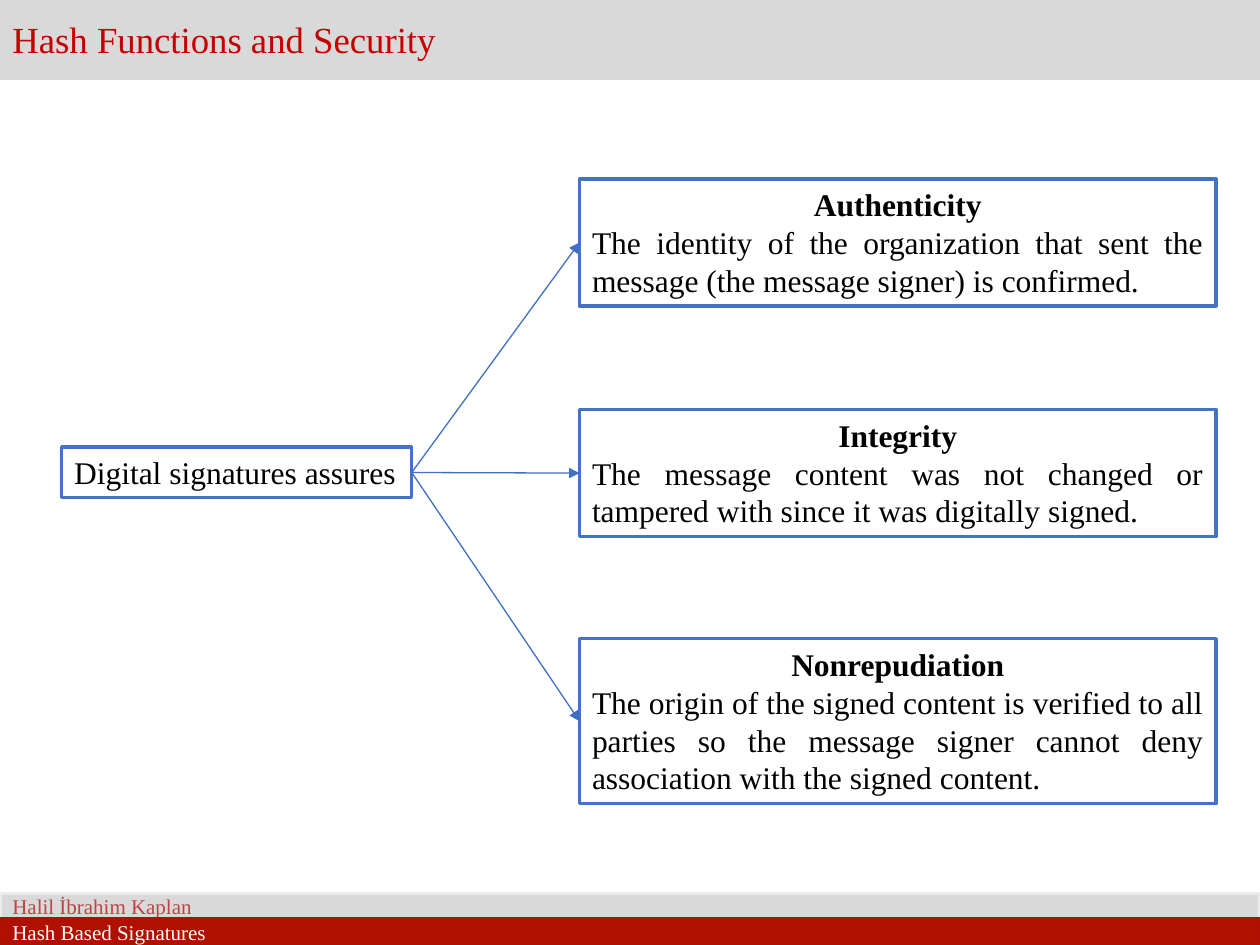
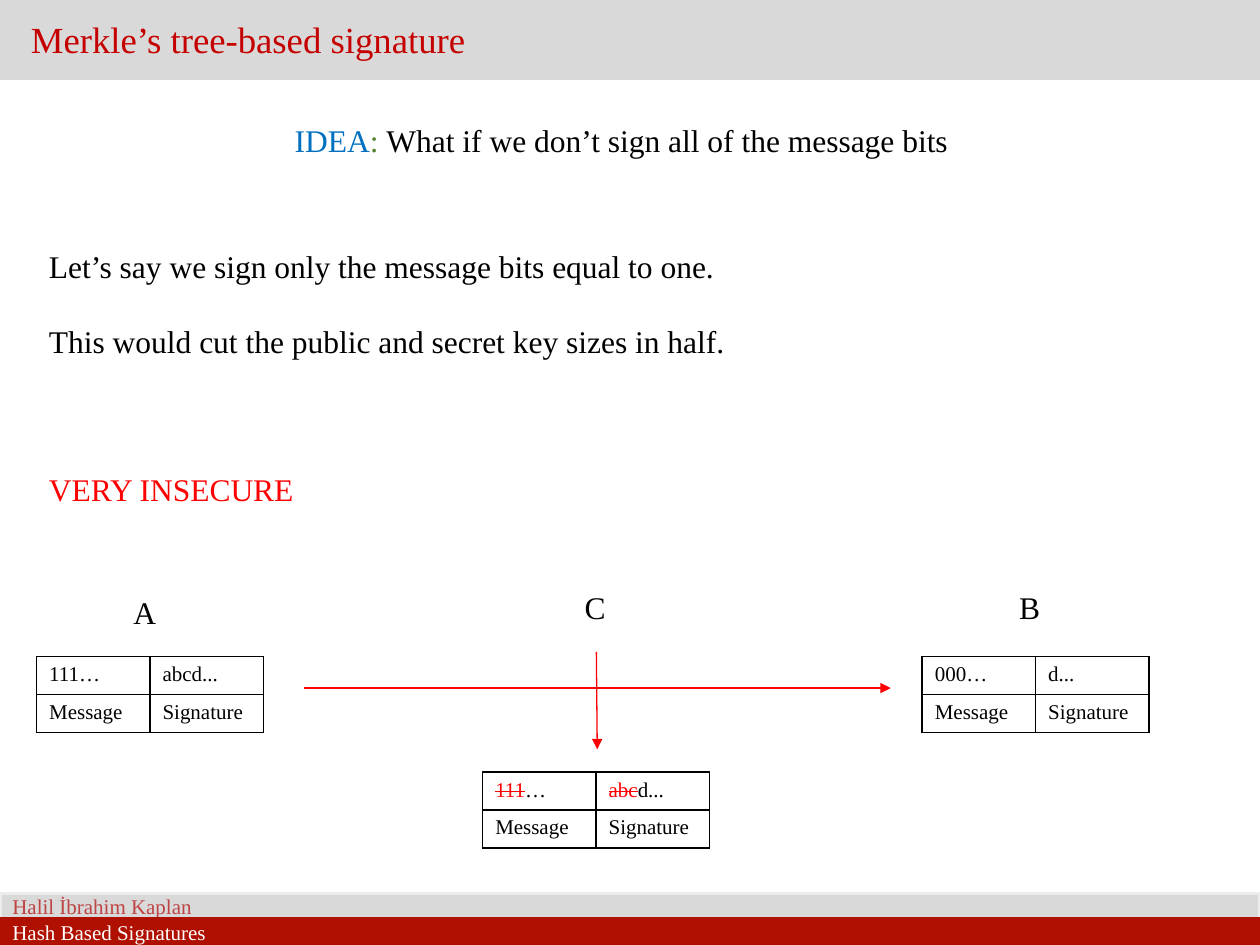
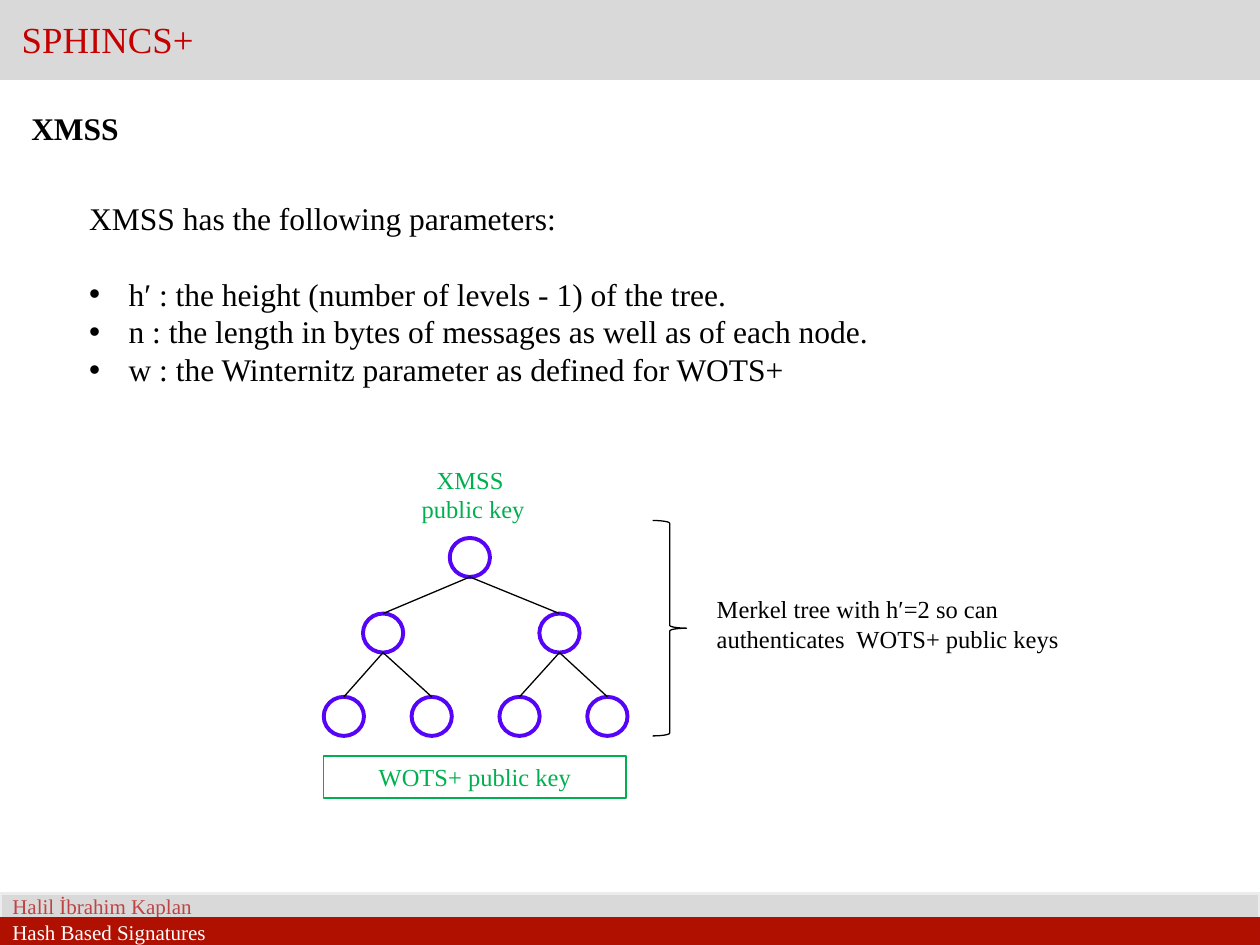
from pptx import Presentation, oxml, util as u
from pptx.dml import color
from pptx.enum import shapes, text
from pptx.oxml import ns

Pt = u.Pt
hex_colour = color.RGBColor.from_string
FONT = "Times New Roman"
BLACK, WHITE, GREY, RED = "000000", "FFFFFF", "D9D9D9", "FF0000"
BLUE, GREEN, PURPLE = "4472C4", "00B050", "5604F8"
CENTRE = {"alignment": text.PP_ALIGN.CENTER}
JUSTIFY = {"alignment": text.PP_ALIGN.JUSTIFY}
LINE_GAP = {"space_before": Pt(21.6)}
RECTANGLE = shapes.MSO_SHAPE.RECTANGLE


def write_text(frame, paragraphs, size, colour):
    """Write (spans, paragraph format) pairs; a span is (words, font format)."""
    for index, (spans, layout) in enumerate(paragraphs):
        para = frame.add_paragraph() if index else frame.paragraphs[0]
        for name, value in layout.items():
            setattr(para, name, value)
        for words, look in [(spans, {})] if isinstance(spans, str) else spans:
            span = para.add_run()
            span.text = words
            look = {"name": FONT, "size": Pt(size), "colour": colour, **look}
            span.font.color.rgb = hex_colour(look.pop("colour"))
            if look.pop("strike", False):
                span.font._element.set("strike", "sngStrike")
            for name, value in look.items():
                setattr(span.font, name, value)


def add_box(page, place, paragraphs=(), size=18, colour=BLACK, preset=None,
            fill=None, line=None, weight=2, middle=False, indent=0):
    """Add a preset shape, or a text box when no preset is given."""
    place = [Pt(length) for length in place]
    if preset is None:
        box = page.shapes.add_textbox(*place)
    else:
        box = page.shapes.add_shape(preset, *place)
        box.shadow.inherit = False
        box.line.color.rgb = hex_colour(line)
        box.line.width = Pt(weight)
        if fill:
            box.fill.solid()
            box.fill.fore_color.rgb = hex_colour(fill)
        else:
            box.fill.background()
    if paragraphs:
        frame = box.text_frame
        settings = {
            "word_wrap": True,
            "margin_left": Pt(7.2 + indent),
            "vertical_anchor": text.MSO_ANCHOR.MIDDLE if middle else text.MSO_ANCHOR.TOP,
            "auto_size": text.MSO_AUTO_SIZE.NONE if middle
            else text.MSO_AUTO_SIZE.SHAPE_TO_FIT_TEXT,
        }
        for name, value in settings.items():
            setattr(frame, name, value)
        left = {"alignment": text.PP_ALIGN.LEFT}
        write_text(frame, [(spans, {**left, **layout}) for spans, layout in paragraphs],
                   size, colour)
    return box


deck = Presentation()
deck.slide_width, deck.slide_height = Pt(720), Pt(540)

# Shared bands and titles
pages = []
for title, indent in [("Hash Functions and Security", 0),
                      ("Merkle’s tree-based signature", 10.5),
                      ("SPHINCS+", 5.25)]:
    page = deck.slides.add_slide(deck.slide_layouts[6])
    pages.append(page)
    for words, top, height, size, colour, fill, line, shift in [
        ("Halil İbrahim Kaplan", 510.5, 14.4, 12, "BE4343", GREY, "ECECEC", 0),
        ("Hash Based Signatures", 525, 15, 12, WHITE, "B01000", "B01001", 0),
        (title, 0, 44.6, 21, "C50000", GREY, GREY, indent),
    ]:
        add_box(page, (0, top, 720, height), [(words, {})], size, colour, RECTANGLE,
                fill, line, middle=True, indent=shift)
assurance_page, merkle_page, xmss_page = pages
lines = []  # page, start, end, colour, arrow

# What digital signatures assure
framed = {"preset": RECTANGLE, "fill": WHITE, "line": BLUE}
add_box(assurance_page, (35.3, 255.6, 200, 28.8),
        [("Digital signatures assures", {})], **framed)
for top, height, heading, body in [
    (102.2, 72.7, "Authenticity", "The identity of the organization that sent the message "
     "(the message signer) is confirmed."),
    (234, 72.7, "Integrity", "The message content was not changed or tampered with since "
     "it was digitally signed."),
    (365, 94.3, "Nonrepudiation", "The origin of the signed content is verified to all "
     "parties so the message signer cannot deny association with the signed content."),
]:
    add_box(assurance_page, (331.2, top, 363.6, height),
            [([(heading, {"bold": True})], CENTRE), (body, JUSTIFY)], **framed)
    lines.append((assurance_page, (235.3, 270), (331.2, top + height / 2), "3F6FC3", True))

# Signing only some of the message bits
add_box(merkle_page, (161.3, 65.5, 397.4, 28.8),
        [([("IDEA", {"colour": "0070C0"}), (": ", {"colour": "548235"}),
           ("What if we don’t sign all of the message bits", {})], {})])
add_box(merkle_page, (20.9, 137.5, 699, 94.3),
        [("Let’s say we sign only the message bits equal to one.", {}),
         ("This would cut the public and secret key sizes in half.", LINE_GAP)])
add_box(merkle_page, (20.9, 265, 180.7, 28.8), [("VERY INSECURE", {})], colour=RED)
for letter, left, top in [("A", 69.1, 335.5), ("C", 327, 332.6), ("B", 575.3, 332.6)]:
    add_box(merkle_page, (left, top, 32.4, 28.8), [(letter, {})])

struck = {"colour": RED, "strike": True}
for left, top, message, signature in [
    (20.9, 375.2, "111…", "abcd..."),
    (275.8, 441.2, [("111", struck), ("…", {})], [("abc", struck), ("d...", {})]),
    (527, 375.2, "000…", "d..."),
]:
    table = merkle_page.shapes.add_table(2, 2, Pt(left), Pt(top), Pt(129.6), Pt(43.2)).table
    table.first_row = table.horz_banding = False
    for cell, spans in zip(table.iter_cells(), [message, signature, "Message", "Signature"]):
        for side in "LRTB":
            cell._tc.get_or_add_tcPr().append(oxml.parse_xml(
                f'<a:ln{side} {ns.nsdecls("a")} w="{Pt(0.96)}"><a:solidFill>'
                f'<a:srgbClr val="{BLACK}"/></a:solidFill></a:ln{side}>'))
        cell.fill.background()
        write_text(cell.text_frame, [(spans, {})], 12, BLACK)
lines += [(merkle_page, (174, 393.2), (509, 393.2), RED, True),
          (merkle_page, (340.8, 372.5), (341.3, 428.2), RED, True)]

# XMSS parameters
add_box(xmss_page, (10.8, 59, 285.8, 28.8), [([("XMSS", {"bold": True})], {})])
parameters = add_box(xmss_page, (43.9, 110.2, 505.4, 115.2), [
    ("XMSS has the following parameters:", {}),
    ("h′ : the height (number of levels - 1) of the tree.", LINE_GAP),
    ("n : the length in bytes of messages as well as of each node.", {}),
    ("w : the Winternitz parameter as defined for WOTS+", {}),
])
for para in parameters.text_frame.paragraphs[1:]:
    properties = para._p.get_or_add_pPr()
    properties.set("marL", str(Pt(22.5)))
    properties.set("indent", str(-Pt(22.5)))
    for bullet in (f'<a:buClr {ns.nsdecls("a")}><a:srgbClr val="{BLACK}"/></a:buClr>',
                   f'<a:buFont {ns.nsdecls("a")} typeface="Arial"/>',
                   f'<a:buChar {ns.nsdecls("a")} char="•"/>'):
        properties.append(oxml.parse_xml(bullet))

# XMSS tree, level by level from the root
node_width, node_height = 23, 22.3
levels = [(307.4, [257]), (350.6, [207.4, 308.2]),
          (398.2, [185 + 50.2 * leaf for leaf in range(4)])]
for depth, (top, lefts) in enumerate(levels):
    for index, left in enumerate(lefts):
        add_box(xmss_page, (left, top, node_width, node_height),
                preset=shapes.MSO_SHAPE.OVAL, line=PURPLE, weight=2.25)
        if depth:
            parent_top, parent_lefts = levels[depth - 1]
            parent = (parent_lefts[index // 2] + node_width / 2, parent_top + node_height)
            lines.append((xmss_page, (left + node_width / 2, top), parent, BLACK, False))
add_box(xmss_page, (373, 297.4, 19.4, 123.1), preset=shapes.MSO_SHAPE.RIGHT_BRACE,
        line=BLACK, weight=0.75)
add_box(xmss_page, (402.5, 336.2, 244, 40.3),
        [("Merkel tree with h′=2 so can authenticates  WOTS+ public keys", {})], 14)
add_box(xmss_page, (232.6, 262.1, 75.6, 40.3),
        [("XMSS ", CENTRE), ("public key", CENTRE)], 14, GREEN)
add_box(xmss_page, (185, 432, 172.8, 24), [("WOTS+ public key", CENTRE)], 14, GREEN,
        RECTANGLE, line=GREEN, weight=0)

# Arrows and tree edges
for page, start, end, colour, arrow in lines:
    connector = page.shapes.add_connector(
        shapes.MSO_CONNECTOR.STRAIGHT, *[Pt(length) for length in start + end])
    connector.line.color.rgb = hex_colour(colour)
    connector.line.width = Pt(0.75)
    properties = connector._element.spPr
    if arrow:
        properties.find(ns.qn("a:ln")).append(
            oxml.parse_xml(f'<a:tailEnd {ns.nsdecls("a")} type="triangle"/>'))
    properties.append(oxml.parse_xml(f'<a:effectLst {ns.nsdecls("a")}/>'))

deck.save("out.pptx")
